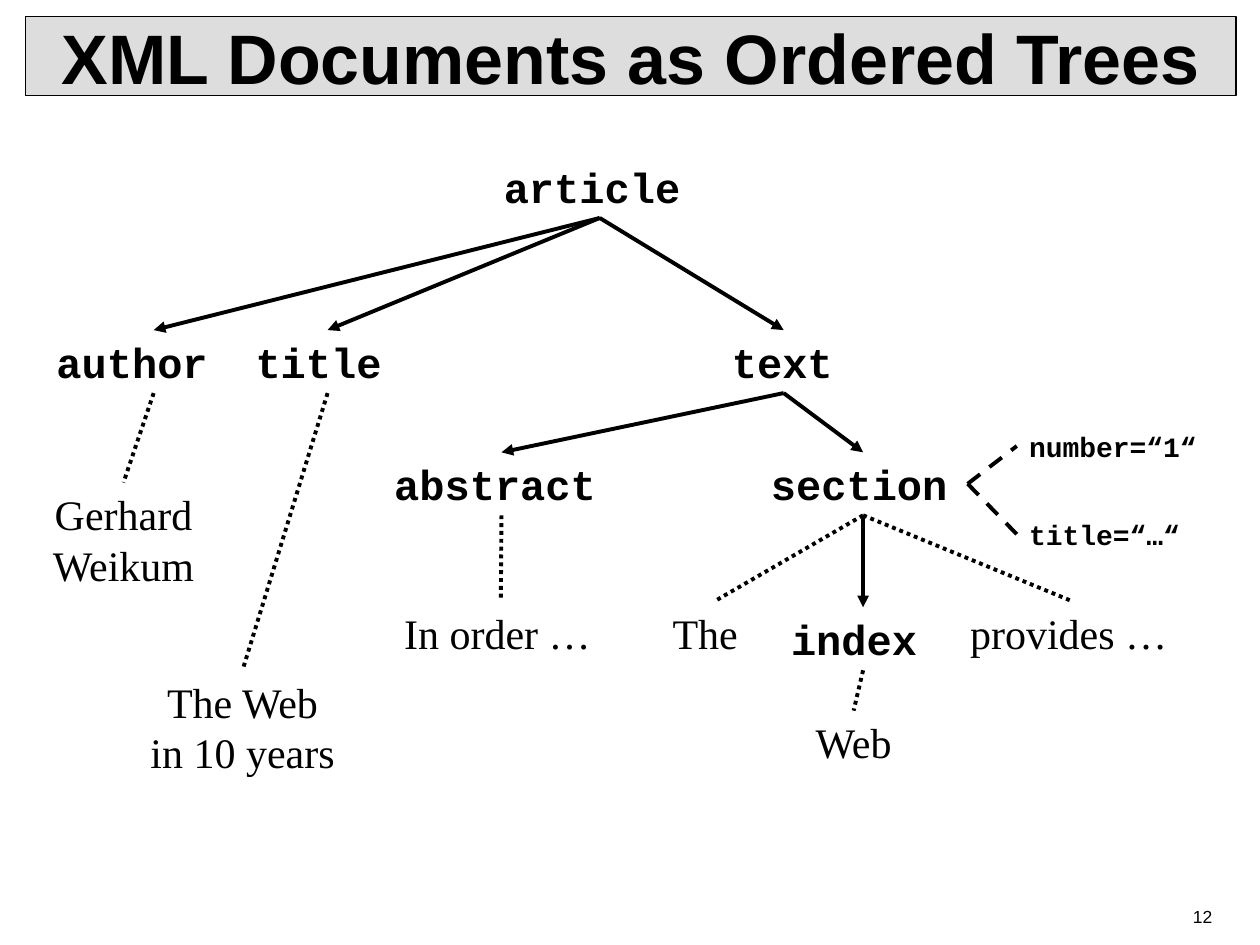
from lxml import etree
from pptx import Presentation
from pptx.dml.color import RGBColor
from pptx.enum.dml import MSO_LINE
from pptx.enum.shapes import MSO_CONNECTOR, MSO_SHAPE
from pptx.enum.text import MSO_ANCHOR, PP_ALIGN
from pptx.oxml.ns import qn
from pptx.util import Inches, Pt

BLACK = RGBColor(0x00, 0x00, 0x00)
GREY = RGBColor(0xDD, 0xDD, 0xDD)
LEFT, MID, RIGHT = PP_ALIGN.LEFT, PP_ALIGN.CENTER, PP_ALIGN.RIGHT
DOT, DASH = MSO_LINE.ROUND_DOT, MSO_LINE.DASH
CODE, PROSE, SANS = "Courier New", "Times New Roman", "Arial"

prs = Presentation()
prs.slide_width, prs.slide_height = Inches(10), Inches(7.5)
slide = prs.slides.add_slide(prs.slide_layouts[6])


def write(text, at, font=CODE, size=24, bold=False, align=LEFT, fill=None):
    box = [Inches(n) for n in at]
    if fill is None:
        shape = slide.shapes.add_textbox(*box)
    else:
        shape = slide.shapes.add_shape(MSO_SHAPE.RECTANGLE, *box)
        shape.shadow.inherit = False
        shape.fill.solid()
        shape.fill.fore_color.rgb = fill
        shape.line.color.rgb = BLACK
        shape.line.width = Pt(0.75)
    frame = shape.text_frame
    frame.word_wrap = True
    frame.vertical_anchor = MSO_ANCHOR.TOP if fill is None else MSO_ANCHOR.MIDDLE
    if fill is not None:
        frame.margin_left = frame.margin_right = 0
        frame.margin_top = frame.margin_bottom = 0
    para = frame.paragraphs[0]
    para.alignment = align
    run = para.add_run()
    run.text = text
    run.font.name, run.font.size, run.font.bold = font, Pt(size), bold
    run.font.color.rgb = BLACK


def link(start, end, dash=None):
    ends = [Inches(n) for n in (*start, *end)]
    line = slide.shapes.add_connector(MSO_CONNECTOR.STRAIGHT, *ends)
    line.line.color.rgb = BLACK
    line.line.width = Pt(2.25)
    if dash is None:
        etree.SubElement(line.line._get_or_add_ln(), qn("a:tailEnd"), type="triangle")
    else:
        line.line.dash_style = dash
    etree.SubElement(line._element.spPr, qn("a:effectLst"))


write("12", (7.64, 7.14, 2.08, 0.36), font=SANS, size=10, align=RIGHT)
write("XML Documents as Ordered Trees", (0.2, 0.13, 9.61, 0.63),
      font=SANS, size=40, bold=True, align=MID, fill=GREY)

HIGH = 0.5
tags = {
    "article": (3.9, 1.23, 1.73, 4.76),
    "author": (0.35, 2.62, 1.73, 1.22),
    "title": (1.93, 2.62, 1.34, 2.6),
    "text": (5.71, 2.62, 1.02, 6.22),
    "abstract": (3.03, 3.59, 1.89, 3.98),
    "section": (6.02, 3.59, 1.65, 6.85),
    "index": (6.18, 4.82, 1.34, 6.85),
}
for name, (left, top, wide, hub) in tags.items():
    write(name, (left, top, wide, HIGH), bold=True)

edges = [
    ("article", "title"), ("article", "text"), ("article", "author"),
    ("text", "abstract"), ("text", "section"), ("section", "index"),
]
for source, target in edges:
    _, top, _, hub = tags[source]
    _, below, _, goal = tags[target]
    link((hub, top + HIGH), (goal, below))

leaves = [
    ("author", "Gerhard Weikum", 0.27, 3.83, 1.42, 0.9, MID),
    ("title", "The Web in 10 years", 1.07, 5.32, 1.71, 0.9, MID),
    ("abstract", "In order …", 3.11, 4.77, 1.73, HIGH, LEFT),
    ("section", "The", 5.24, 4.77, 0.87, HIGH, LEFT),
    ("section", "provides …", 7.6, 4.77, 1.81, HIGH, LEFT),
    ("index", "Web", 6.34, 5.64, 0.87, HIGH, MID),
]
for source, text, left, top, wide, high, align in leaves:
    write(text, (left, top, wide, high), font=PROSE, align=align)
    _, above, _, hub = tags[source]
    link((hub, above + HIGH), (left + wide / 2, top), dash=DOT)

for text, top in (("number=“1“", 3.36), ("title=“…“", 4.06)):
    write(text, (8.07, top, 1.57, 0.37), size=16, bold=True)
    link((7.68, 3.84), (8.07, top + 0.18), dash=DASH)

prs.save("out.pptx")
